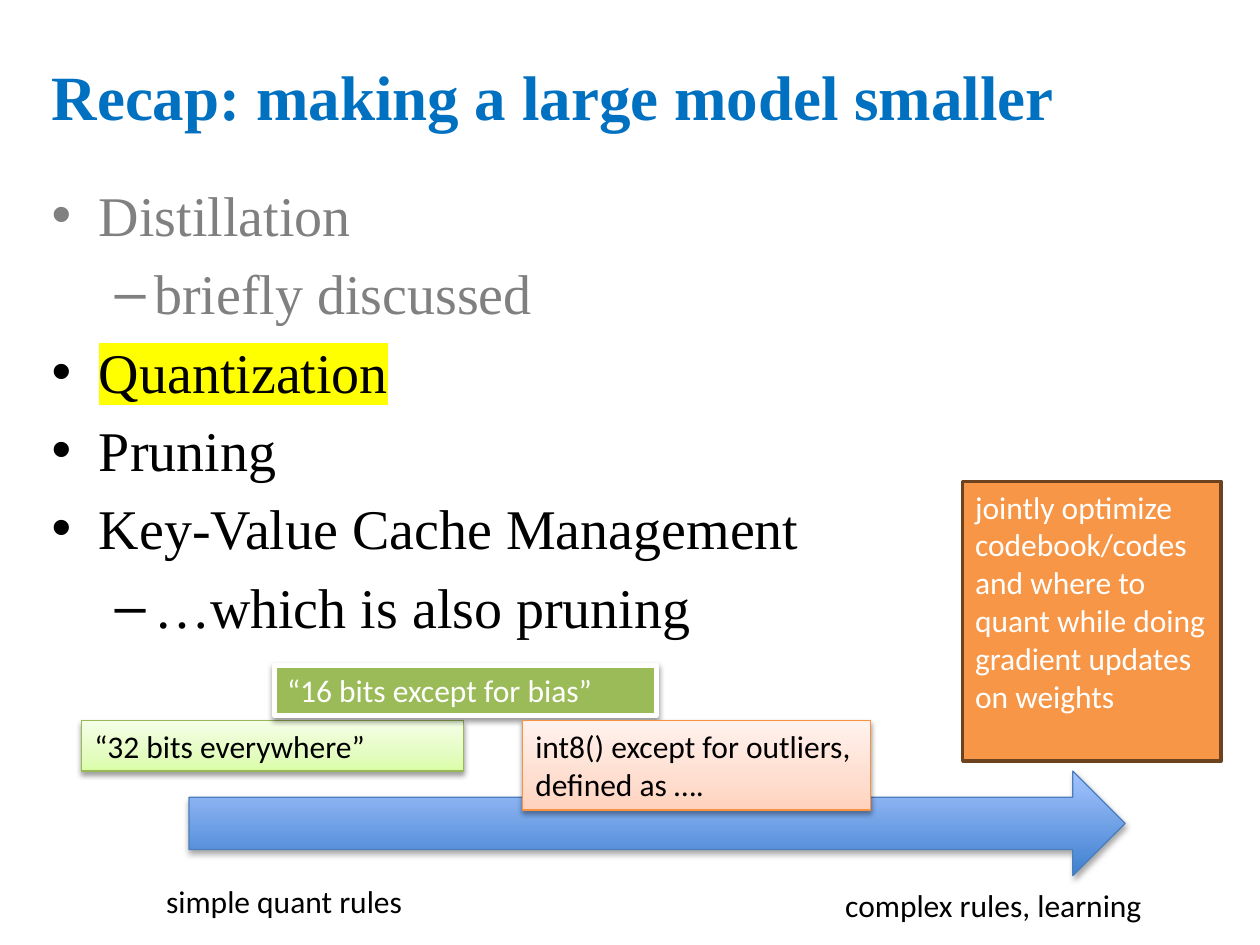
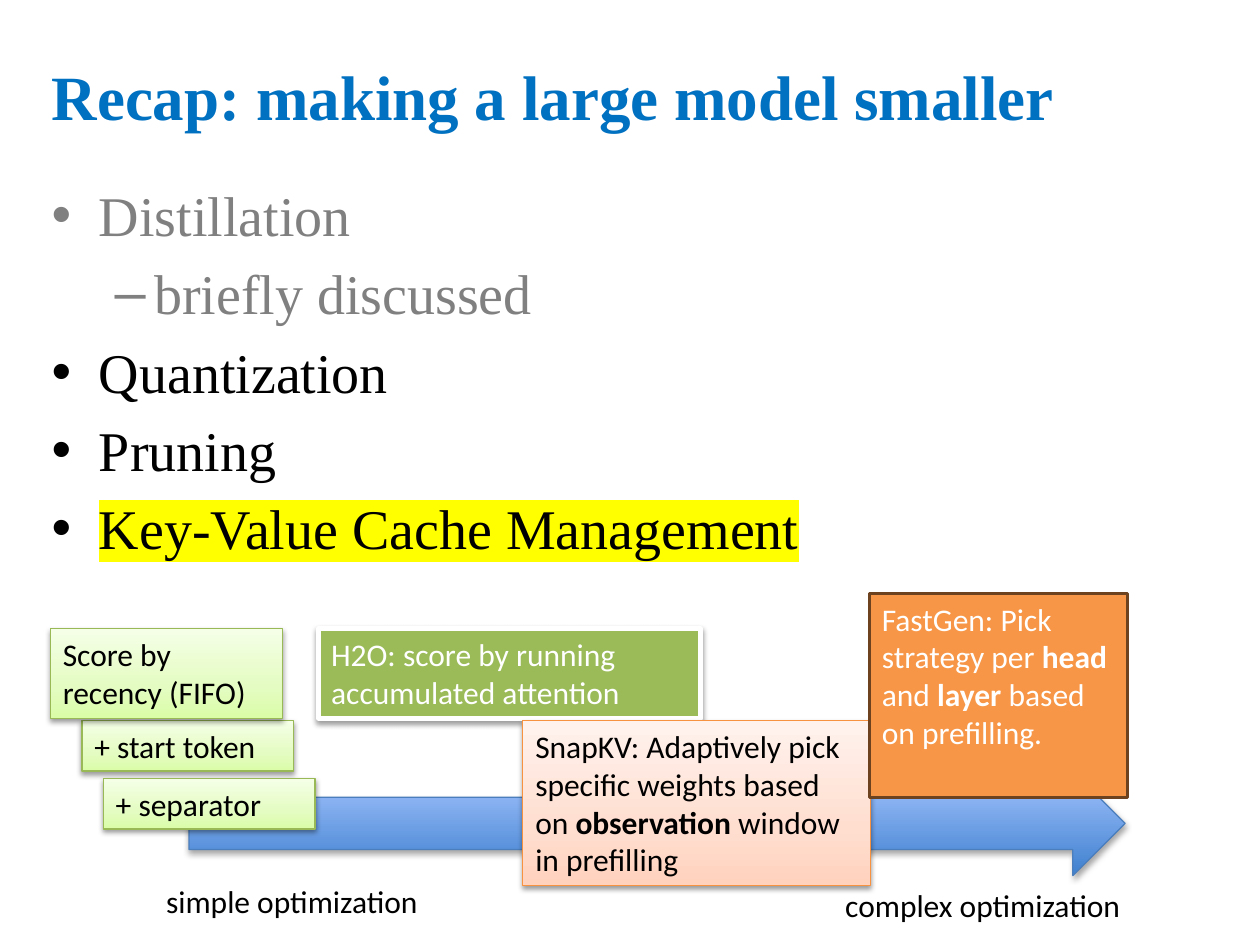
from lxml import etree
from pptx import Presentation
from pptx.dml.color import RGBColor
from pptx.enum.shapes import MSO_SHAPE as Shape
from pptx.enum.text import MSO_ANCHOR as Anchor, MSO_AUTO_SIZE as AutoSize, PP_ALIGN as Align
from pptx.oxml import parse_xml
from pptx.oxml.ns import nsdecls, qn
from pptx.util import Inches, Pt

# Colours and fonts
BLUE = RGBColor(0x00, 0x70, 0xC0)
GREY = RGBColor(0x80, 0x80, 0x80)
BLACK = RGBColor(0x00, 0x00, 0x00)
WHITE = RGBColor(0xFF, 0xFF, 0xFF)
YELLOW = RGBColor(0xFF, 0xFF, 0x00)
SERIF, SANS = "Times New Roman", "Calibri"


def stops(*pairs):
    return [(position, RGBColor.from_string(value)) for position, value in pairs]


# Box styles: fill (a colour or gradient stops), line, line width, text colour, shadow opacity
STYLES = {
    "arrow": (stops((0, "3F80CE"), (100, "A4C4FF")),
              RGBColor(0x4B, 0x7E, 0xBC), 0.75, BLACK, 35),
    "lime": (stops((0, "DAFDA7"), (35, "E4FCC2"), (100, "F5FFE7")),
             RGBColor(0x98, 0xB9, 0x55), 0.75, BLACK, 38),
    "green": (RGBColor(0x9B, 0xBB, 0x59), WHITE, 3, WHITE, 38),
    "peach": (stops((0, "FFD2BD"), (35, "FFDED0"), (100, "FFF2ED")),
              RGBColor(0xF6, 0x92, 0x40), 0.75, BLACK, 38),
    "orange": (RGBColor(0xF7, 0x96, 0x46), RGBColor(0x6C, 0x42, 0x1F), 2, WHITE, None),
}

# Content: topics are (level, text, colour); ** marks bold words in the boxes
TITLE = "Recap: making a large model smaller"
TOPICS = [
    (0, "Distillation", GREY),
    (1, "briefly discussed", GREY),
    (0, "Quantization", BLACK),
    (0, "Pruning", BLACK),
    (0, "Key-Value Cache Management", BLACK),
]
SLIDES = [
    {
        "topics": TOPICS + [(1, "…which is also pruning", BLACK)],
        "current": "Quantization",
        "ends": ("simple quant rules", "complex rules, learning"),
        "boxes": [
            ("lime", (0.65, 5.72, 3.03, 0.4), "“32 bits everywhere”"),
            ("green", (2.18, 5.28, 3.03, 0.4), "“16 bits except for bias”"),
            ("peach", (4.15, 5.72, 2.76, 0.71), "int8() except for outliers, defined as …."),
            ("orange", (7.64, 3.82, 2.05, 2.22),
             "jointly optimize codebook/codes and where to quant while doing "
             "gradient updates on weights"),
        ],
    },
    {
        "topics": TOPICS,
        "current": "Key-Value Cache Management",
        "ends": ("simple optimization", "complex optimization"),
        "boxes": [
            ("lime", (0.65, 5.72, 1.68, 0.4), "+ start token"),
            ("green", (2.53, 4.99, 3.03, 0.71), "H2O: score by running accumulated attention"),
            ("peach", (4.15, 5.72, 2.76, 1.31),
             "SnapKV: Adaptively pick specific weights based on **observation** "
             "window in prefilling"),
            ("orange", (6.9, 4.71, 2.05, 1.62),
             "FastGen: Pick strategy per **head** and **layer **based on prefilling."),
            ("lime", (0.4, 4.99, 1.84, 0.71), "Score by recency (FIFO)"),
            ("lime", (0.82, 6.18, 1.68, 0.4), "+ separator"),
        ],
    },
]

# Shared places: left, top, width, height in inches
TITLE_AREA = (0.31, 0.32, 9.46, 0.88)
BODY_AREA = (0.31, 1.38, 9.46, 5.58)
ARROW_AREA = (1.5, 6.12, 7.43, 0.83)
END_AREAS = [(1.22, 6.95, 2.47, 0.4), (6.61, 6.98, 2.99, 0.4)]


def place(area):
    return [Inches(length) for length in area]


def add_span(para, text, font, size, colour, bold=False):
    span = para.add_run()
    span.text = text
    span.font.name, span.font.size, span.font.bold = font, Pt(size), bold
    span.font.color.rgb = colour
    return span


def highlight(span):
    mark = parse_xml(f'<a:highlight {nsdecls("a")}><a:srgbClr val="{YELLOW}"/></a:highlight>')
    span.font._element.find(qn("a:solidFill")).addnext(mark)


def fill_placeholder(box, area, anchor):
    box.left, box.top, box.width, box.height = place(area)
    frame = box.text_frame
    frame.auto_size, frame.vertical_anchor = AutoSize.NONE, anchor
    return frame


def write_label(box, text, colour):
    frame = box.text_frame
    frame.word_wrap, frame.vertical_anchor = True, Anchor.TOP
    para = frame.paragraphs[0]
    para.alignment = Align.LEFT
    for index, part in enumerate(text.split("**")):
        add_span(para, part, SANS, 18, colour, bold=index % 2 == 1)


def set_gradient(box, colour_stops):
    box.fill.gradient()
    box.fill.gradient_angle = 90
    stop_list = box._element.spPr.find(".//" + qn("a:gsLst"))
    for stop in list(stop_list):
        stop_list.remove(stop)
    for position, colour in colour_stops:
        stop = etree.SubElement(stop_list, qn("a:gs"), pos=str(position * 1000))
        etree.SubElement(stop, qn("a:srgbClr"), val=str(colour))


def set_shadow(box, opacity):
    box.shadow.inherit = False
    if opacity:
        effects = box._element.spPr.find(qn("a:effectLst"))
        effects.append(parse_xml(
            f'<a:outerShdw {nsdecls("a")} blurRad="{Pt(3.1)}" dist="{Pt(1.7)}" dir="5400000" '
            f'rotWithShape="0"><a:srgbClr val="{BLACK}"><a:alpha val="{opacity * 1000}"/>'
            '</a:srgbClr></a:outerShdw>'))


def add_box(page, kind, style, area, text=""):
    fill, line, width, colour, opacity = STYLES[style]
    box = page.shapes.add_shape(kind, *place(area))
    if isinstance(fill, list):
        set_gradient(box, fill)
    else:
        box.fill.solid()
        box.fill.fore_color.rgb = fill
    box.line.color.rgb, box.line.width = line, Pt(width)
    set_shadow(box, opacity)
    if text:
        write_label(box, text, colour)


def add_page(deck, content):
    page = deck.slides.add_slide(deck.slide_layouts[1])

    # Title and topic list
    frame = fill_placeholder(page.shapes.title, TITLE_AREA, Anchor.MIDDLE)
    frame.paragraphs[0].alignment = Align.LEFT
    add_span(frame.paragraphs[0], TITLE, SERIF, 36, BLUE, bold=True)
    frame = fill_placeholder(page.placeholders[1], BODY_AREA, Anchor.TOP)
    for index, (level, text, colour) in enumerate(content["topics"]):
        para = frame.add_paragraph() if index else frame.paragraphs[0]
        para.level = level
        span = add_span(para, text, SERIF, 32, colour)
        if text == content["current"]:
            highlight(span)

    # Scale from simple to complex, with the methods along it
    add_box(page, Shape.RIGHT_ARROW, "arrow", ARROW_AREA)
    for area, text in zip(END_AREAS, content["ends"]):
        write_label(page.shapes.add_textbox(*place(area)), text, BLACK)
    for style, area, text in content["boxes"]:
        add_box(page, Shape.RECTANGLE, style, area, text)


def main():
    deck = Presentation()
    deck.slide_width, deck.slide_height = Inches(10), Inches(7.5)
    for content in SLIDES:
        add_page(deck, content)
    deck.save("out.pptx")


if __name__ == "__main__":
    main()
